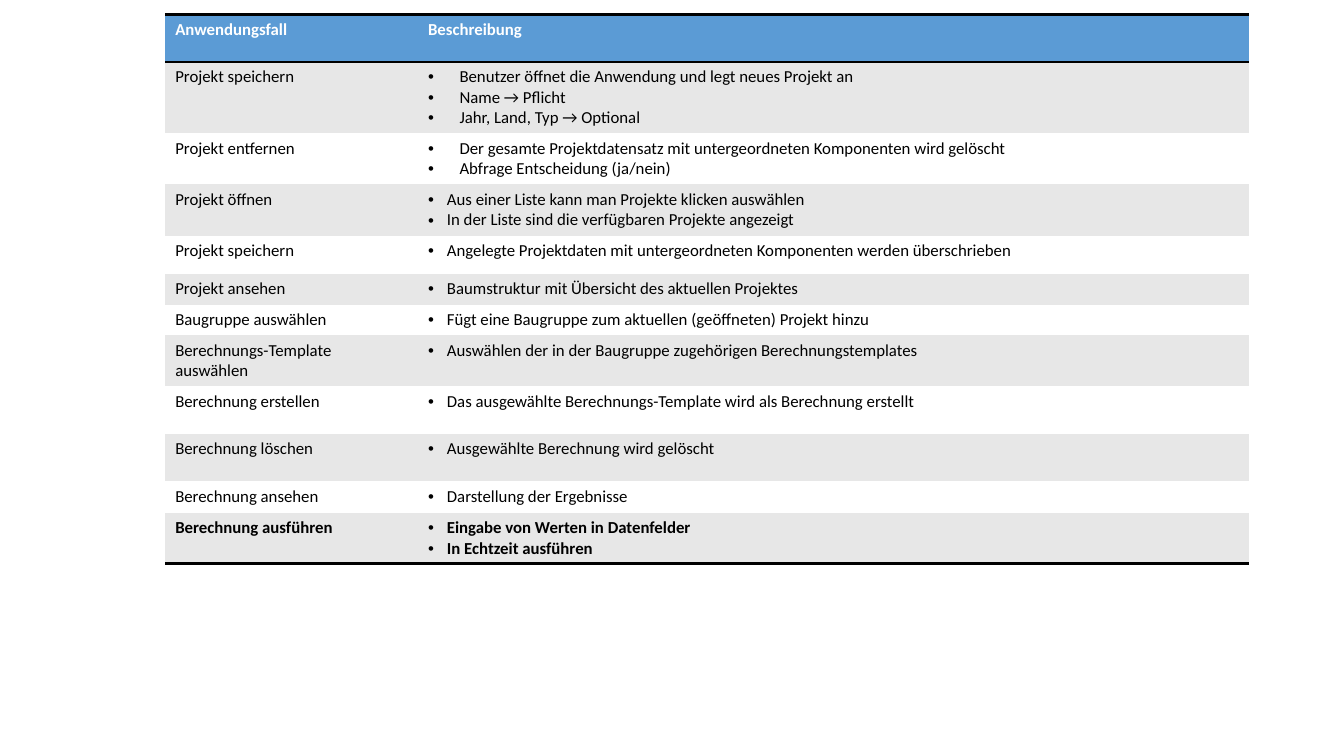
from lxml import etree
from pptx import Presentation
from pptx.dml.color import RGBColor
from pptx.oxml.ns import qn
from pptx.util import Pt

BLACK = RGBColor(0x00, 0x00, 0x00)
WHITE = RGBColor(0xFF, 0xFF, 0xFF)
BLUE = RGBColor(0x5B, 0x9B, 0xD5)
GRAY = RGBColor(0xE7, 0xE7, 0xE7)
NO_STYLE = "{2D5ABB26-0587-4C30-8999-92F81FD0307C}"
TOP, BOTTOM = "a:lnT", "a:lnB"
NARROW, WIDE = 13.5, 22.5
COL_SHARES = (2.51, 8.25)
HEADER = ("Anwendungsfall", "Beschreibung")
HEADER_HEIGHT = 34
USE_CASES = [
    ("Projekt speichern", 47.5, WIDE,
     ["Benutzer öffnet die Anwendung und legt neues Projekt an",
      "Name → Pflicht", "Jahr, Land, Typ → Optional"]),
    ("Projekt entfernen", 34, WIDE,
     ["Der gesamte Projektdatensatz mit untergeordneten Komponenten wird gelöscht",
      "Abfrage Entscheidung (ja/nein)"]),
    ("Projekt öffnen", 34, NARROW,
     ["Aus einer Liste kann man Projekte klicken auswählen",
      "In der Liste sind die verfügbaren Projekte angezeigt"]),
    ("Projekt speichern", 27.4, NARROW,
     ["Angelegte Projektdaten mit untergeordneten Komponenten werden überschrieben"]),
    ("Projekt ansehen", 20.2, NARROW,
     ["Baumstruktur mit Übersicht des aktuellen Projektes"]),
    ("Baugruppe auswählen", 20.9, NARROW,
     ["Fügt eine Baugruppe zum aktuellen (geöffneten) Projekt hinzu"]),
    ("Berechnungs-Template auswählen", 34, NARROW,
     ["Auswählen der in der Baugruppe zugehörigen Berechnungstemplates"]),
    ("Berechnung erstellen", 34, NARROW,
     ["Das ausgewählte Berechnungs-Template wird als Berechnung erstellt"]),
    ("Berechnung löschen", 34, NARROW, ["Ausgewählte Berechnung wird gelöscht"]),
    ("Berechnung ansehen", 22.3, NARROW, ["Darstellung der Ergebnisse"]),
    ("Berechnung ausführen", 34, NARROW,
     ["Eingabe von Werten in Datenfelder", "In Echtzeit ausführen"]),
]


def add_border(cell, side):
    """Draw a black 2 pt line along one side of a cell."""
    tc_pr = cell._tc.get_or_add_tcPr()
    ln = etree.SubElement(tc_pr, qn(side), w=str(Pt(2)))
    fill = etree.SubElement(ln, qn("a:solidFill"))
    etree.SubElement(fill, qn("a:srgbClr"), val=str(BLACK))


def add_bullet(p, indent):
    """Give a paragraph a round bullet with a hanging indent."""
    p_pr = p._p.get_or_add_pPr()
    p_pr.set("marL", str(Pt(indent)))
    p_pr.set("indent", str(-Pt(indent)))
    etree.SubElement(p_pr, qn("a:buFont"), typeface="Arial")
    etree.SubElement(p_pr, qn("a:buChar"), char="•")


def fill_cell(cell, lines, fill, color=BLACK, bold=False, indent=None, borders=()):
    """Write the lines into a cell and format its text, borders and fill."""
    for side in borders:
        add_border(cell, side)
    cell.fill.solid()
    cell.fill.fore_color.rgb = fill
    tf = cell.text_frame
    for i, line in enumerate(lines):
        p = tf.paragraphs[0] if i == 0 else tf.add_paragraph()
        if indent:
            add_bullet(p, indent)
        r = p.add_run()
        r.text = line
        r.font.color.rgb = color
        for name, value in {"name": "Calibri", "size": Pt(12), "bold": bold}.items():
            setattr(r.font, name, value)


def add_use_case_table(s, left, top, width):
    """Build the table of use cases with banded rows."""
    heights = [HEADER_HEIGHT] + [case[1] for case in USE_CASES]
    table = s.shapes.add_table(len(heights), len(HEADER), Pt(left), Pt(top),
                               Pt(width), Pt(sum(heights))).table
    table._tbl.tblPr.find(qn("a:tableStyleId")).text = NO_STYLE
    for flag in ("first_row", "horz_banding"):
        setattr(table, flag, False)
    for column, share in zip(table.columns, COL_SHARES):
        column.width = Pt(width * share / sum(COL_SHARES))
    for row, height in zip(table.rows, heights):
        row.height = Pt(height)
    for col, title in enumerate(HEADER):
        fill_cell(table.cell(0, col), [title], BLUE, WHITE, True, borders=(TOP, BOTTOM))
    for row, (name, _, indent, lines) in enumerate(USE_CASES, 1):
        last = row == len(USE_CASES)
        look = {"fill": GRAY if row % 2 else WHITE, "bold": last,
                "borders": (BOTTOM,) if last else ()}
        fill_cell(table.cell(row, 0), [name], **look)
        fill_cell(table.cell(row, 1), lines, indent=indent, **look)


prs = Presentation()
prs.slide_width, prs.slide_height = Pt(960), Pt(540)
s = prs.slides.add_slide(prs.slide_layouts[6])
add_use_case_table(s, 118, 10.2, 774)
prs.save("out.pptx")
